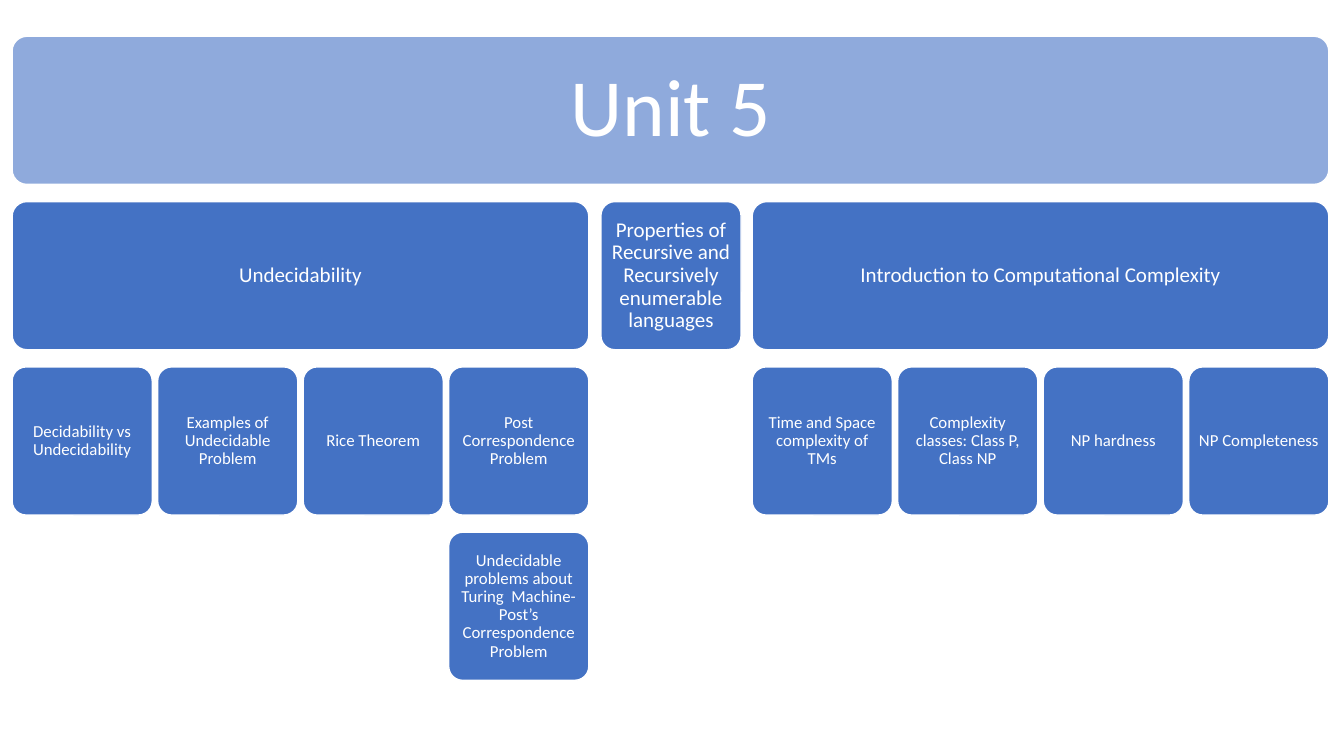
from dataclasses import dataclass

import pptx
import pptx.dml.color
import pptx.enum.shapes
import pptx.enum.text
import pptx.util

Inches = pptx.util.Inches

COLORS = {"title": "8FAADC", "topic": "4472C4", "white": "FFFFFF"}
FONT = "Calibri"

FIRST_ROW_TOP = 0.36
ROW_PITCH = 1.64
CARD_HEIGHT = 1.47
CARD_WIDTH = 1.39
BRANCH_WIDTH = 5.72
CARDS_PER_BRANCH = 4
CARD_PITCH = (BRANCH_WIDTH - CARD_WIDTH) / (CARDS_PER_BRANCH - 1)
LEFT_BRANCH, MIDDLE_BRANCH, RIGHT_BRANCH = 0.12, 5.96, 7.46
TITLE_WIDTH = RIGHT_BRANCH + BRANCH_WIDTH - LEFT_BRANCH


@dataclass(frozen=True)
class Level:
    size: int
    inset: float
    fill: str


@dataclass(frozen=True)
class Card:
    text: str
    row: int
    left: float
    width: float
    level: Level


TITLE = Level(58, 0.24, "title")
TOPIC = Level(15, 0.06, "topic")
SUBTOPIC = Level(12, 0.05, "topic")

SUBTOPICS = {
    LEFT_BRANCH: [
        "Decidability vs Undecidability",
        "Examples of Undecidable Problem",
        "Rice Theorem",
        "Post Correspondence Problem",
    ],
    RIGHT_BRANCH: [
        "Time and Space complexity of TMs",
        "Complexity classes: Class P, Class NP",
        "NP hardness",
        "NP Completeness",
    ],
}


def color(name: str) -> pptx.dml.color.RGBColor:
    return pptx.dml.color.RGBColor.from_string(COLORS[name])


def subtopic(text: str, row: int, branch: float, column: int) -> Card:
    return Card(text, row, branch + column * CARD_PITCH, CARD_WIDTH, SUBTOPIC)


def unit_cards() -> list[Card]:
    cards = [
        Card("Unit 5", 0, LEFT_BRANCH, TITLE_WIDTH, TITLE),
        Card("Undecidability", 1, LEFT_BRANCH, BRANCH_WIDTH, TOPIC),
        Card("Properties of Recursive and Recursively enumerable languages",
             1, MIDDLE_BRANCH, CARD_WIDTH, TOPIC),
        Card("Introduction to Computational Complexity",
             1, RIGHT_BRANCH, BRANCH_WIDTH, TOPIC),
    ]
    for branch, texts in SUBTOPICS.items():
        cards += [subtopic(text, 2, branch, column) for column, text in enumerate(texts)]
    cards.append(subtopic(
        "Undecidable problems about Turing  Machine- Post’s Correspondence Problem",
        3, LEFT_BRANCH, CARDS_PER_BRANCH - 1))
    return cards


def draw_card(page: pptx.slide.Slide, card: Card) -> None:
    box = page.shapes.add_shape(
        pptx.enum.shapes.MSO_SHAPE.ROUNDED_RECTANGLE,
        Inches(card.left), Inches(FIRST_ROW_TOP + card.row * ROW_PITCH),
        Inches(card.width), Inches(CARD_HEIGHT))
    box.adjustments[0] = 0.1
    box.shadow.inherit = False
    box.fill.solid()
    box.fill.fore_color.rgb = color(card.level.fill)
    box.line.color.rgb = color("white")
    box.line.width = pptx.util.Pt(1)

    frame = box.text_frame
    frame.word_wrap = True
    frame.vertical_anchor = pptx.enum.text.MSO_ANCHOR.MIDDLE
    inset = Inches(card.level.inset)
    frame.margin_left = frame.margin_right = inset
    frame.margin_top = frame.margin_bottom = inset

    para = frame.paragraphs[0]
    para.text = card.text
    para.alignment = pptx.enum.text.PP_ALIGN.CENTER
    para.line_spacing = 0.9
    para.font.name = FONT
    para.font.size = pptx.util.Pt(card.level.size)
    para.font.color.rgb = color("white")


def main() -> None:
    deck = pptx.Presentation()
    deck.slide_width = Inches(13.33)
    deck.slide_height = Inches(7.5)
    page = deck.slides.add_slide(deck.slide_layouts[6])
    for card in unit_cards():
        draw_card(page, card)
    deck.save("out.pptx")


if __name__ == "__main__":
    main()
